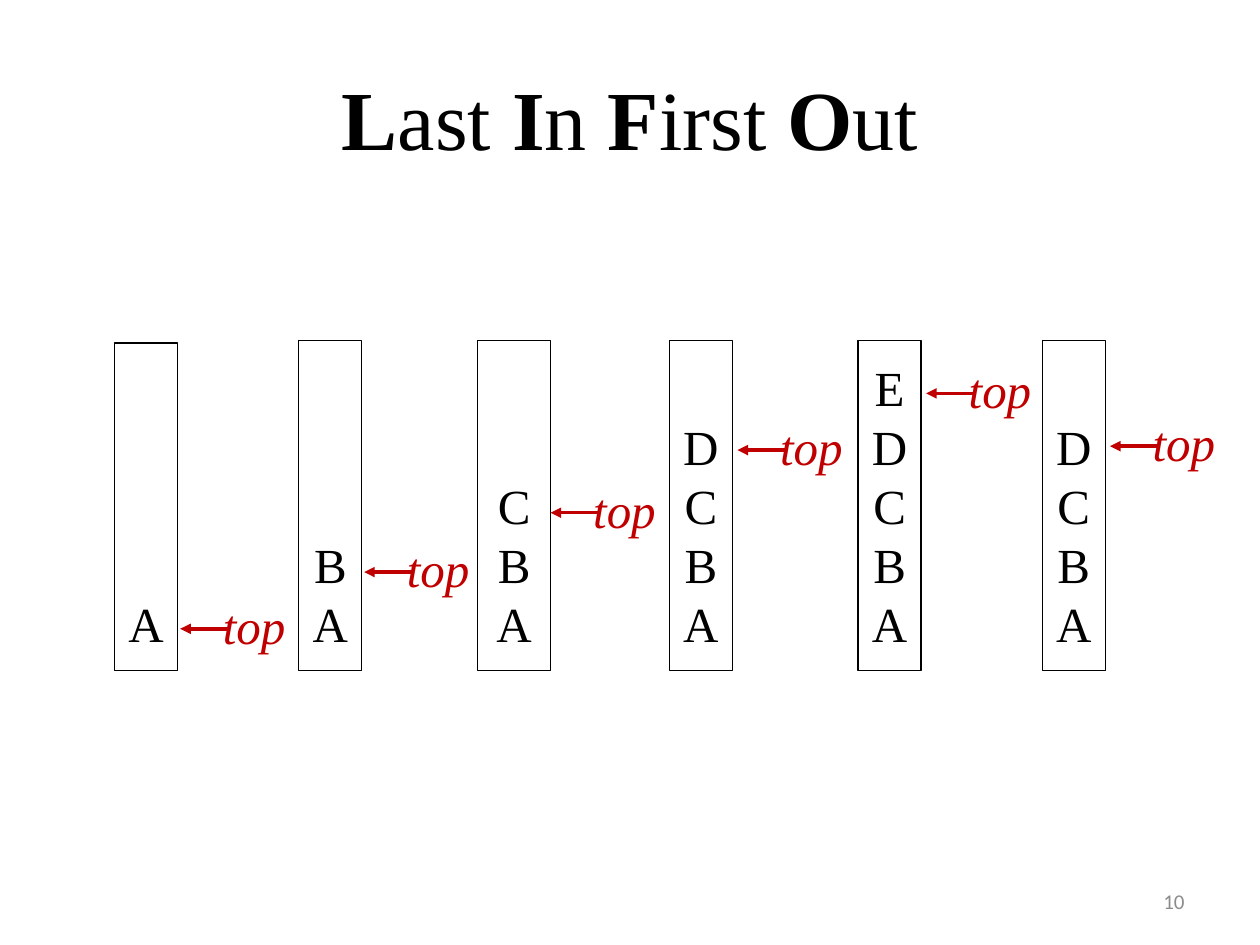
from pptx import Presentation
from pptx import util as u
from pptx.dml.color import RGBColor
from pptx.enum import shapes, text
from pptx.oxml.ns import qn
from lxml import etree

BLACK = RGBColor(0x00, 0x00, 0x00)
RED = RGBColor(0xC0, 0x00, 0x00)
GRAY = RGBColor(0x8C, 0x8C, 0x8C)
SERIF = "Times New Roman"
STACK_BOTTOM = 383


class StackSlide:
    """Draws stacks, their top pointers and the text of one slide."""

    def __init__(self, deck):
        self.slide = deck.slides.add_slide(deck.slide_layouts[5])

    def style(self, paragraph, size, color, align, name=SERIF, italic=False):
        font = paragraph.font
        font.name, font.size, font.italic = name, u.Pt(size), italic
        font.color.rgb = color
        paragraph.alignment = align

    def title(self, words):
        heading = self.slide.shapes.title
        heading.left, heading.top = u.Pt(36), u.Pt(21.6)
        heading.width, heading.height = u.Pt(648), u.Pt(90)
        heading.text_frame.vertical_anchor = text.MSO_ANCHOR.MIDDLE
        line = heading.text_frame.paragraphs[0]
        self.style(line, 48, BLACK, text.PP_ALIGN.CENTER)
        for index, word in enumerate(words):
            gap = " " if index < len(words) - 1 else ""
            for part, bold in ((word[0], True), (word[1:] + gap, False)):
                run = line.add_run()
                run.text, run.font.bold = part, bold

    def label(self, words, left, top, width, height, size, color, align,
              anchor=text.MSO_ANCHOR.TOP, **font):
        box = self.slide.shapes.add_textbox(*map(u.Pt, (left, top, width, height)))
        frame = box.text_frame
        frame.text, frame.word_wrap, frame.vertical_anchor = words, True, anchor
        self.style(frame.paragraphs[0], size, color, align, **font)

    def stack(self, items, left, top, width):
        box = self.slide.shapes.add_shape(
            shapes.MSO_SHAPE.RECTANGLE,
            *map(u.Pt, (left, top, width, STACK_BOTTOM - top)))
        box.shadow.inherit = False
        box.fill.background()
        box.line.color.rgb, box.line.width = BLACK, u.Pt(0.75)
        frame = box.text_frame
        frame.word_wrap = False
        frame.vertical_anchor = text.MSO_ANCHOR.BOTTOM
        frame.margin_bottom = u.Pt(10)
        frame.text = "\n".join(items)
        for item in frame.paragraphs:
            item.line_spacing = u.Pt(33.7)
            self.style(item, 28, BLACK, text.PP_ALIGN.CENTER)

    def pointer(self, tip, level):
        arrow = self.slide.shapes.add_connector(
            shapes.MSO_CONNECTOR.STRAIGHT,
            *map(u.Pt, (tip + 28, level, tip, level)))
        arrow.line.color.rgb, arrow.line.width = RED, u.Pt(2)
        etree.SubElement(arrow.line._get_or_add_ln(), qn("a:tailEnd"), type="triangle")
        etree.SubElement(arrow._element.spPr, qn("a:effectLst"))
        self.label("top", tip + 17.3, level - 22.7, 50.4, 41, 28, RED,
                   text.PP_ALIGN.LEFT, italic=True)


deck = Presentation()
deck.slide_width, deck.slide_height = u.Pt(720), u.Pt(540)
lifo = StackSlide(deck)
lifo.title(["Last", "In", "First", "Out"])

STATES = [
    ("A", 65.5, 196, 36, 103, 359.3),
    ("BA", 170.8, 194.5, 36, 208.1, 326.9),
    ("CBA", 272.8, 194.5, 42, 314.6, 293),
    ("DCBA", 382.5, 194.5, 36, 421.4, 257.2),
    ("EDCBA", 490.4, 194.5, 36, 529.2, 224.8),
    ("DCBA", 595.6, 194.5, 36, 634.3, 255),
]
for items, left, top, width, tip, level in STATES:
    lifo.stack(items, left, top, width)
    lifo.pointer(tip, level)

lifo.label("10", 516, 500.5, 168, 28.8, 12, GRAY, text.PP_ALIGN.RIGHT,
           text.MSO_ANCHOR.MIDDLE, name="Calibri")
deck.save("out.pptx")
